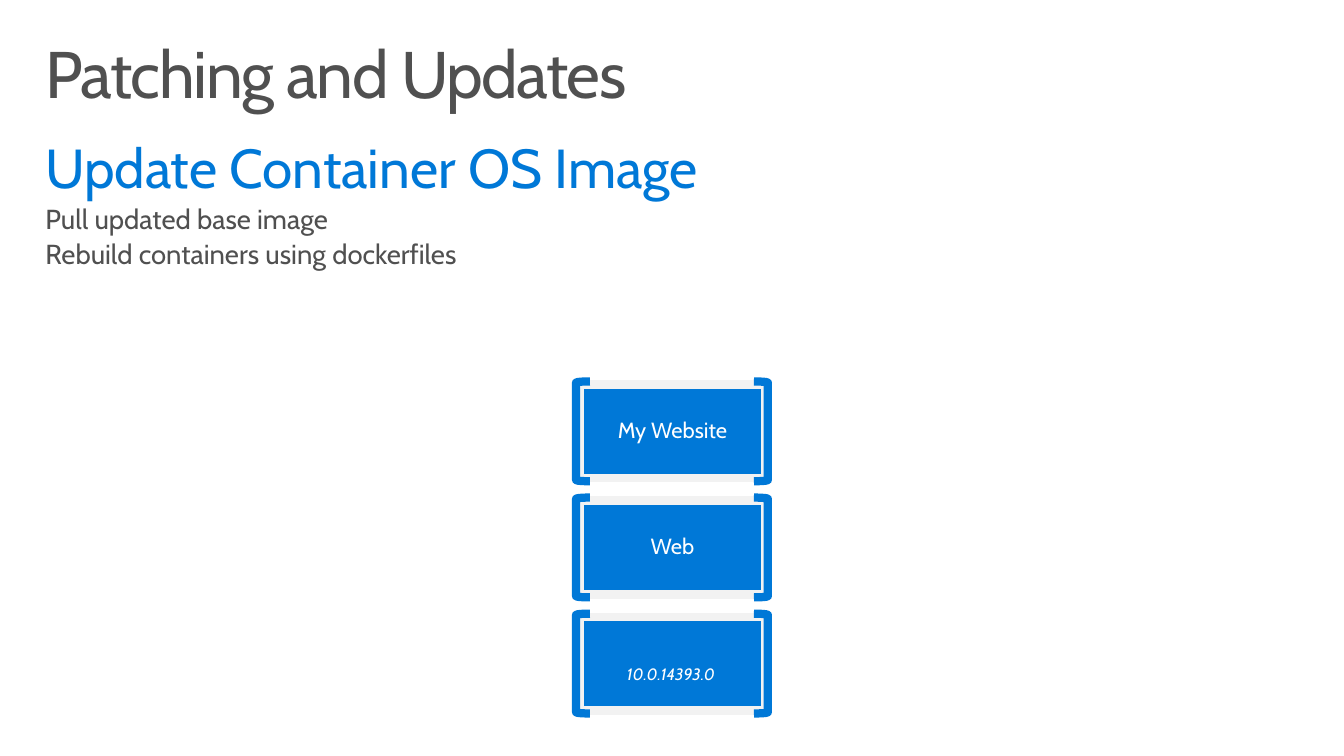
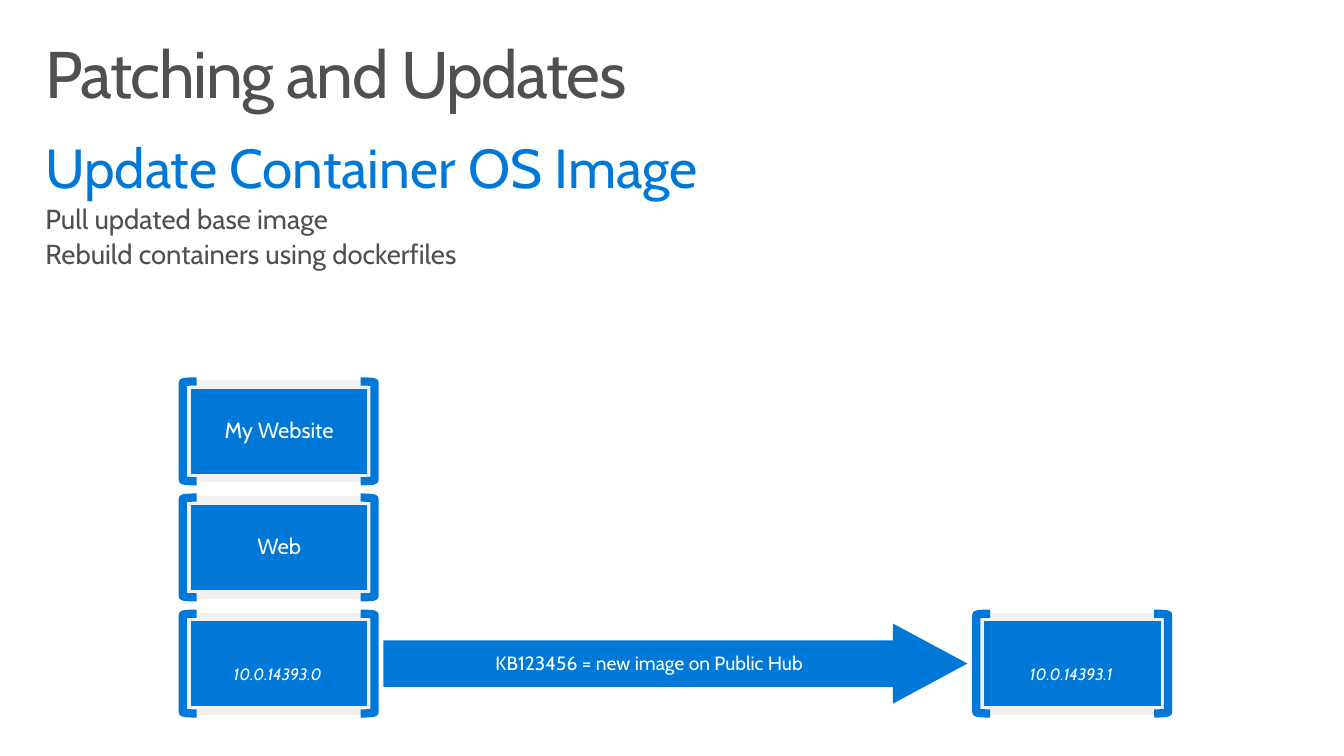
import dataclasses

import pptx
import pptx.dml.color
import pptx.enum.shapes
import pptx.enum.text
import pptx.util

Inches = pptx.util.Inches
Pt = pptx.util.Pt
Shape = pptx.enum.shapes.MSO_SHAPE
Align = pptx.enum.text.PP_ALIGN
Anchor = pptx.enum.text.MSO_ANCHOR


@dataclasses.dataclass(frozen=True)
class Theme:
    font: str = "Cabin"
    blue: str = "0078D7"
    gray: str = "505050"
    pale: str = "F2F2F2"
    white: str = "FFFFFF"
    title: int = 48
    head: int = 40
    body: int = 20
    tile: int = 16
    arrow: int = 14
    label: int = 12
    edge: int = 6


THEME = Theme()
WIDE = (0.16, 0.1)
TIGHT = (0.2, 0.16)
TOP, LAST = 3.86, 6.21
STEP = (LAST - TOP) / 2


def color(code):
    return pptx.dml.color.RGBColor.from_string(code)


def place(left, top, width, height):
    return [Inches(n) for n in (left, top, width, height)]


def write(para, text, size, tint, slant=False):
    run = para.add_run()
    run.text = text
    para.line_spacing = 0.9
    font = para.font
    font.name = THEME.font
    font.size = Pt(size)
    font.color.rgb = color(tint)
    font.italic = slant
    return run


def inset(frame, pad, anchor):
    frame.word_wrap = True
    frame.vertical_anchor = anchor
    frame.margin_left = frame.margin_right = Inches(pad[0])
    frame.margin_top = frame.margin_bottom = Inches(pad[1])


def add_text(shapes, box, pad=WIDE, anchor=Anchor.TOP):
    frame = shapes.add_textbox(*place(*box)).text_frame
    inset(frame, pad, anchor)
    return frame


def add_label(shapes, box, text, size, anchor=Anchor.TOP, slant=False):
    para = add_text(shapes, box, TIGHT, anchor).paragraphs[0]
    para.alignment = Align.CENTER
    write(para, text, size, THEME.white, slant)


def add_form(shapes, kind, box, fill=None, line=None):
    form = shapes.add_shape(kind, *place(*box))
    form.shadow.inherit = False
    if fill:
        form.fill.solid()
        form.fill.fore_color.rgb = color(fill)
    else:
        form.fill.background()
    if line:
        form.line.color.rgb = color(line)
        form.line.width = Pt(THEME.edge)
    else:
        form.line.fill.background()
    return form


def add_tile(shapes, left, top, text=None):
    tile = add_form(shapes, Shape.RECTANGLE, (left + 0.04, top + 0.03, 1.87, 0.95),
                    THEME.blue, THEME.pale)
    for kind, shift in ((Shape.RIGHT_BRACKET, 1.8), (Shape.LEFT_BRACKET, 0)):
        add_form(shapes, kind, (left + shift, top, 0.14, 1.01), line=THEME.blue)
    if text:
        inset(tile.text_frame, TIGHT, Anchor.MIDDLE)
        para = tile.text_frame.paragraphs[0]
        para.alignment = Align.CENTER
        write(para, text, THEME.tile, THEME.white)


def add_stack(slide, left, build, names=()):
    shapes = slide.shapes.add_group_shape().shapes
    add_tile(shapes, left, LAST)
    add_label(shapes, (left + 0.07, LAST + 0.44, 1.78, 0.43), build,
              THEME.label, slant=True)
    for row, name in enumerate(names, 1):
        add_tile(shapes, left, LAST - row * STEP, name)


def add_arrow(slide, text):
    shapes = slide.shapes.add_group_shape().shapes
    arrow = add_form(shapes, Shape.RIGHT_ARROW, (3.88, 6.31, 5.91, 0.81), THEME.blue)
    arrow.adjustments[0] = 0.58
    arrow.adjustments[1] = 0.93
    add_label(shapes, (3.89, 6.45, 5.36, 0.54), text, THEME.arrow, Anchor.MIDDLE)


def add_page(deck, title, head, lines):
    slide = deck.slides.add_slide(deck.slide_layouts[6])
    frame = add_text(slide.shapes, (0.3, 0.32, 13, 1))
    run = write(frame.paragraphs[0], title, THEME.title, THEME.gray)
    run._r.get_or_add_rPr().set("spc", "-100")
    frame = add_text(slide.shapes, (0.3, 1.33, 13, 1.55))
    write(frame.paragraphs[0], head, THEME.head, THEME.blue)
    for line in lines:
        para = frame.add_paragraph()
        para.space_before = Pt(THEME.body * 0.2)
        write(para, line, THEME.body, THEME.gray)
    return slide


def main():
    deck = pptx.Presentation()
    deck.slide_width = Inches(13.6)
    deck.slide_height = Inches(7.65)
    text = ("Patching and Updates", "Update Container OS Image",
            ("Pull updated base image", "Rebuild containers using dockerfiles"))
    names = ("Web", "My Website")

    slide = add_page(deck, *text)
    add_stack(slide, 5.83, "10.0.14393.0", names)

    slide = add_page(deck, *text)
    add_arrow(slide, "KB123456 = new image on Public Hub")
    add_stack(slide, 1.85, "10.0.14393.0", names)
    add_stack(slide, 9.88, "10.0.14393.1")

    deck.save("out.pptx")


if __name__ == "__main__":
    main()
